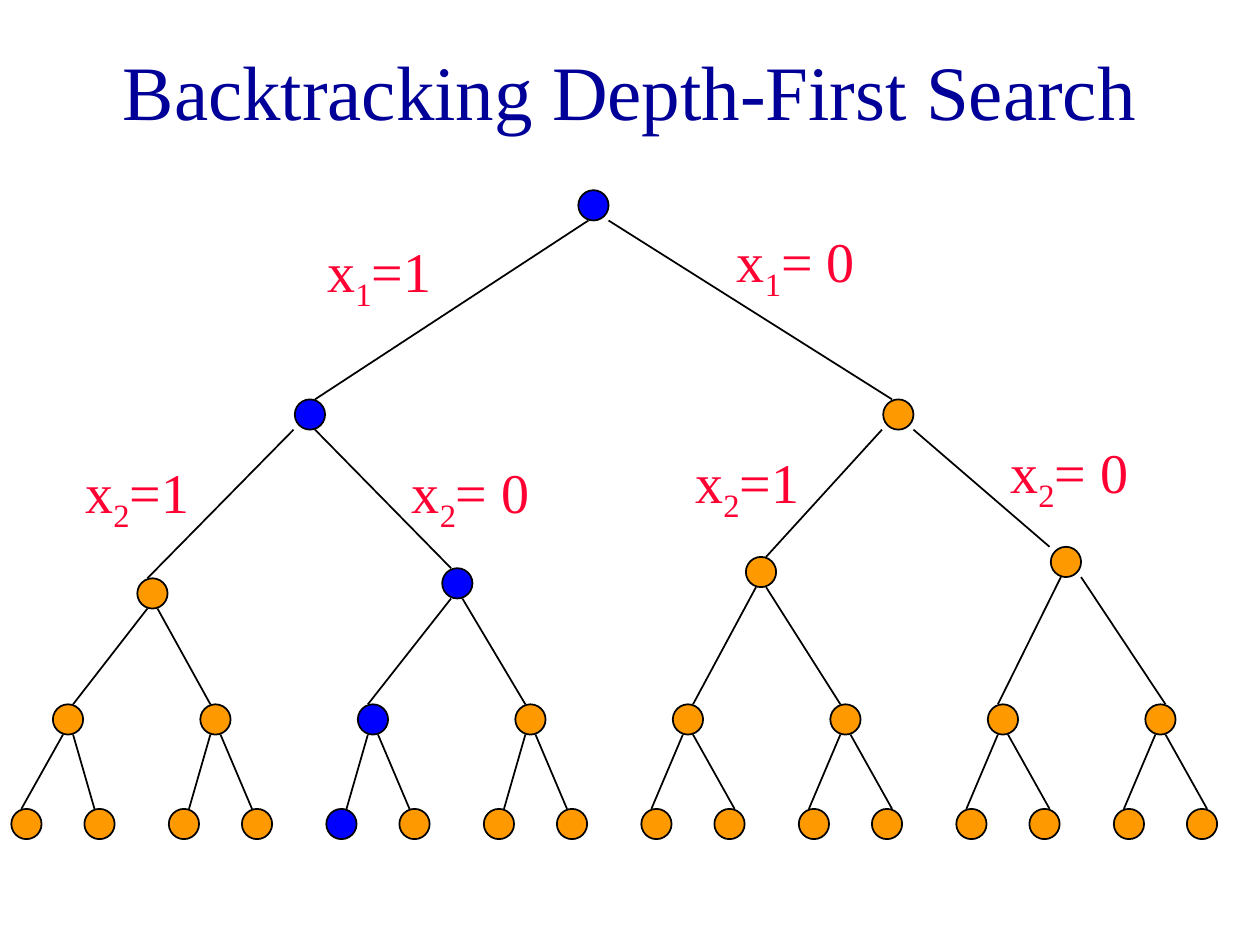
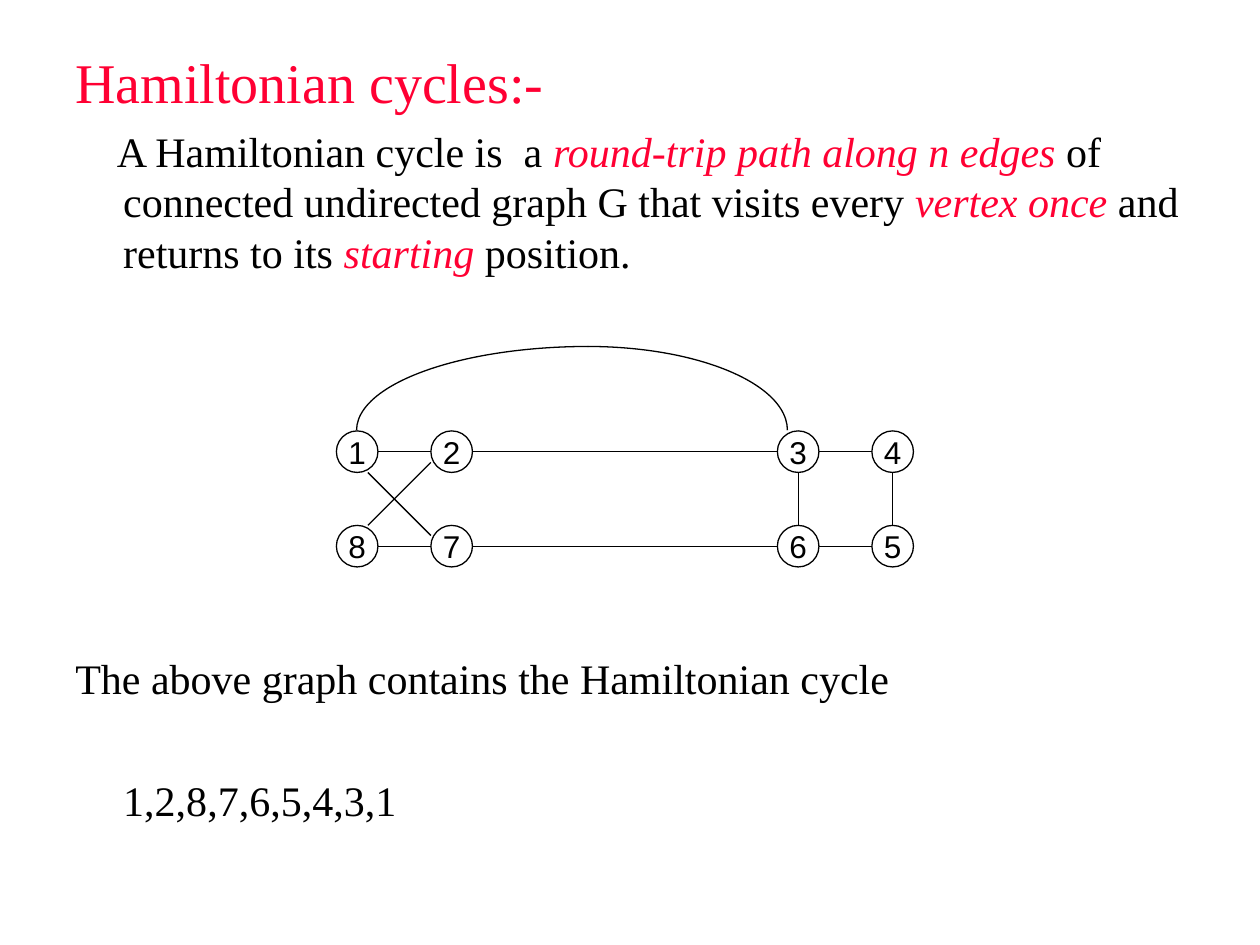
from pptx import Presentation
from pptx.dml.color import RGBColor
from pptx.enum.shapes import MSO_CONNECTOR, MSO_SHAPE
from pptx.enum.text import MSO_ANCHOR, PP_ALIGN
from pptx.oxml.ns import qn
from pptx.util import Inches, Pt
from lxml import etree

STRAIGHT = MSO_CONNECTOR.STRAIGHT
OVAL, ARC = MSO_SHAPE.OVAL, MSO_SHAPE.ARC
MIDDLE, CENTER = MSO_ANCHOR.MIDDLE, PP_ALIGN.CENTER
SERIF, SANS = "Times New Roman", "Arial"

COLORS = {
    "title": "000099",
    "accent": "FF0033",
    "ink": "000000",
    "visited": "0000FF",
    "unvisited": "FF9900",
    "paper": "FFFFFF",
}
RGB = {role: RGBColor.from_string(value) for role, value in COLORS.items()}
FORMATS = {
    "title": {"size": Pt(44), "name": SERIF, "color": "title"},
    "heading": {"size": Pt(32), "name": SERIF, "color": "accent"},
    "body": {"size": Pt(24), "name": SERIF, "color": "ink"},
    "term": {"size": Pt(24), "name": SERIF, "color": "accent", "italic": True},
    "vertex": {"size": Pt(18), "name": SANS, "color": "ink"},
}


def add_run(paragraph, text, style):
    run = paragraph.add_run()
    run.text = text
    for attribute, value in FORMATS[style].items():
        if attribute == "color":
            run.font.color.rgb = RGB[value]
        else:
            setattr(run.font, attribute, value)
    return run


def add_edge(slide, x1, y1, x2, y2, width):
    edge = slide.shapes.add_connector(
        STRAIGHT, Inches(x1), Inches(y1), Inches(x2), Inches(y2))
    edge.line.color.rgb = RGB["ink"]
    edge.line.width = Pt(width)
    etree.SubElement(edge._element.spPr, qn("a:effectLst"))


prs = Presentation()
prs.slide_width, prs.slide_height = Inches(10), Inches(7.5)
blank = prs.slide_layouts[6]

search = prs.slides.add_slide(blank)
title = search.shapes.add_textbox(
    Inches(0.75), Inches(0.17), Inches(8.5), Inches(1.08)).text_frame
title.word_wrap = True
title.vertical_anchor = MIDDLE
title.paragraphs[0].alignment = CENTER
add_run(title.paragraphs[0], "Backtracking Depth-First Search", "title")

NODE = 0.24
level_tops = [
    [1.51],
    [3.17] * 2,
    [4.59, 4.51, 4.42, 4.34],
    [5.59] * 8,
    [6.42] * 16,
]
level_lefts = [
    [4.59],
    [2.34, 7.01],
    [1.09, 3.51, 5.92, 8.34],
    [0.42, 1.59, 2.84, 4.09, 5.34, 6.59, 7.84, 9.09],
    [0.09, 0.67, 1.34, 1.92, 2.59, 3.17, 3.84, 4.42,
     5.09, 5.67, 6.34, 6.92, 7.59, 8.17, 8.84, 9.42],
]
edge_spans = [
    [],
    [(4.67, 2.5), (4.83, 7.08)],
    [(2.33, 1.17), (2.5, 3.58), (7, 6.08), (7.25, 8.33)],
    [(1.17, 0.58), (1.25, 1.67), (3.58, 2.92), (3.67, 4.17),
     (6, 5.5), (6.08, 6.67), (8.42, 7.92), (8.58, 9.25)],
    [(0.5, 0.17), (0.58, 0.75), (1.67, 1.5), (1.75, 2),
     (2.92, 2.75), (3, 3.25), (4.17, 4), (4.25, 4.5),
     (5.42, 5.17), (5.5, 5.83), (6.67, 6.42), (6.75, 7.08),
     (7.92, 7.67), (8, 8.33), (9.17, 8.92), (9.25, 9.58)],
]
visited_positions = [0, 0, 1, 2, 4]

for level, spans in enumerate(edge_spans):
    for child, (start_x, end_x) in enumerate(spans):
        parent_bottom = level_tops[level - 1][child // 2] + NODE
        add_edge(search, start_x, parent_bottom, end_x, level_tops[level][child], 1)

for lefts, tops, visited in zip(level_lefts, level_tops, visited_positions):
    for position, (left, top) in enumerate(zip(lefts, tops)):
        node = search.shapes.add_shape(
            OVAL, Inches(left), Inches(top), Inches(NODE), Inches(NODE))
        node.shadow.inherit = False
        node.fill.solid()
        node.fill.fore_color.rgb = RGB["visited" if position == visited else "unvisited"]
        node.line.color.rgb = RGB["ink"]
        node.line.width = Pt(1)

branch_labels = [
    (2.5, 1.83, "1", "=1"),
    (5.75, 1.75, "1", "= 0"),
    (0.58, 3.58, "2", "=1"),
    (3.17, 3.58, "2", "= 0"),
    (5.42, 3.5, "2", "=1"),
    (7.92, 3.42, "2", "= 0"),
]
for left, top, index, choice in branch_labels:
    label = search.shapes.add_textbox(
        Inches(left), Inches(top), Inches(1.17), Inches(0.71)).text_frame
    label.word_wrap = True
    assignment = label.paragraphs[0]
    add_run(assignment, "x", "heading")
    subscript = add_run(assignment, index, "heading")
    subscript.font._element.set("baseline", "-25000")
    add_run(assignment, choice, "heading")

cycles = prs.slides.add_slide(blank)
heading_line = [("Hamiltonian cycles:-", "heading")]
definition_line = [
    ("A Hamiltonian cycle is  a ", "body"),
    ("round-trip path along n edges", "term"),
    (" of connected undirected graph G that visits every ", "body"),
    ("vertex once", "term"),
    (" and returns to its ", "body"),
    ("starting", "term"),
    (" position.", "body"),
]
conclusion_line = [("The above graph contains the Hamiltonian cycle", "body")]
cycle_line = [("1,2,8,7,6,5,4,3,1", "body")]
passages = [
    (0.33, 2.1, [(heading_line, 0, 0, 0), (definition_line, 0.38, -0.05, 6)]),
    (5.13, 1.57, [(conclusion_line, 0, 0, 0), (cycle_line, 0.38, 0, 41)]),
]
for top, height, lines in passages:
    passage = cycles.shapes.add_textbox(
        Inches(0.5), Inches(top), Inches(9), Inches(height)).text_frame
    passage.word_wrap = True
    for number, (pieces, margin, indent, space) in enumerate(lines):
        paragraph = passage.add_paragraph() if number else passage.paragraphs[0]
        paragraph.space_before = Pt(space)
        properties = paragraph._p.get_or_add_pPr()
        properties.set("marL", str(Inches(margin)))
        properties.set("indent", str(Inches(indent)))
        for text, style in pieces:
            add_run(paragraph, text, style)

VERTEX = 0.33
columns = [2.67, 3.42, 6.17, 6.92]
rows = [(3.42, "1234"), (4.17, "8765")]
for top, names in rows:
    for left, name in zip(columns, names):
        vertex = cycles.shapes.add_shape(
            OVAL, Inches(left), Inches(top), Inches(VERTEX), Inches(VERTEX))
        vertex.shadow.inherit = False
        vertex.fill.solid()
        vertex.fill.fore_color.rgb = RGB["paper"]
        vertex.line.color.rgb = RGB["ink"]
        vertex.line.width = Pt(0.75)
        vertex.text_frame.word_wrap = False
        vertex.text_frame.vertical_anchor = MIDDLE
        vertex.text_frame.paragraphs[0].alignment = CENTER
        add_run(vertex.text_frame.paragraphs[0], name, "vertex")

    middle = top + VERTEX / 2
    for left, right in zip(columns, columns[1:]):
        add_edge(cycles, left + VERTEX, middle, right, middle, 0.75)

for left in columns[2:]:
    center = left + VERTEX / 2
    add_edge(cycles, center, 3.75, center, 4.17, 0.75)
add_edge(cycles, 2.92, 4.17, 3.42, 3.67, 0.75)
add_edge(cycles, 2.92, 3.75, 3.42, 4.25, 0.75)

for left, width, start, end in [(2.83, 3.68, 108, 162), (3.08, 3.17, 162, 0)]:
    bow = cycles.shapes.add_shape(
        ARC, Inches(left), Inches(2.75), Inches(width), Inches(1.33))
    bow.shadow.inherit = False
    bow.adjustments[0] = start
    bow.adjustments[1] = end
    bow.fill.background()
    bow.line.color.rgb = RGB["ink"]
    bow.line.width = Pt(0.75)

prs.save("out.pptx")
